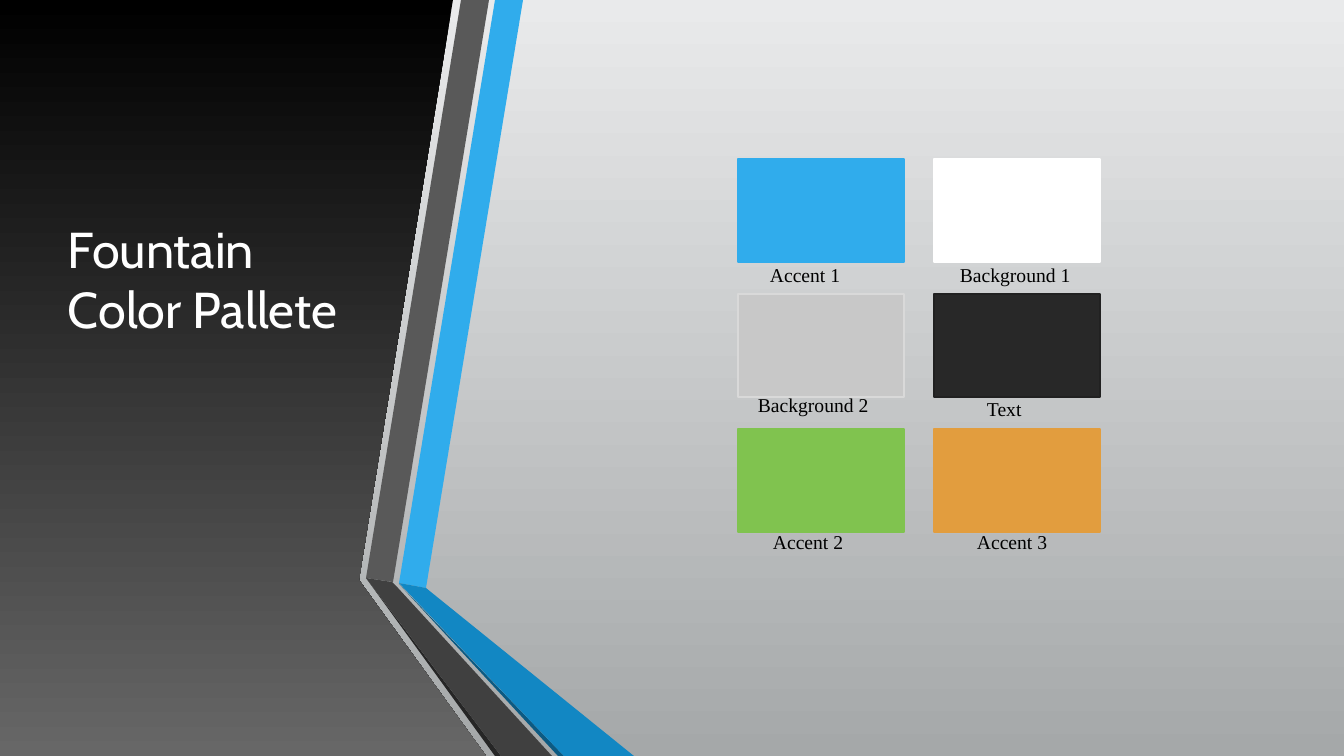
from pptx import Presentation
from pptx import util as u
from pptx.dml.color import RGBColor
from pptx.enum import shapes, text

PX = 914400 / 100.8  # EMU per px
WIDTH, HEIGHT = 1344, 756

# Content
TITLE = ["Fountain", "Color Pallete"]
BACKDROP = ("E9EAEB", "A5A8A9")  # top, bottom
PANEL = ("000000", "676767")
PANEL_POINTS = [(356, 0), (453, 0), (359, 580), (486, 756), (0, 756), (0, 0)]
RIBBONS = [
    ("30ACEC", [(399, 583), (426, 588), (523, 0), (495, 0)]),
    ("595959", [(489, 0), (461, 0), (366, 578), (393, 582)]),
    ("262626", [(366, 578), (495, 756), (501, 756)]),
    ("0C5A82", [(399, 584), (558, 756), (564, 756)]),
    ("1287C3", [(399, 583), (564, 756), (634, 756), (426, 588)]),
    ("404040", [(552, 756), (398, 588), (392, 582), (366, 578), (501, 756)]),
]
# Row by row: name, fill, line, label left, label top, label width
SWATCHES = [
    ("Accent 1", "30ACEC", "30ACEC", 760, 258, 121),
    ("Background 1", "FFFFFF", "FFFFFF", 950, 258, 177),
    ("Background 2", "C8C8C8", "D9D9D9", 748, 388, 177),
    ("Text", "282828", "212121", 977, 392, 121),
    ("Accent 2", "80C34F", "80C34F", 763, 525, 121),
    ("Accent 3", "E29D3E", "E29D3E", 967, 525, 121),
]
GRID_LEFT, GRID_TOP = 738, 159
COLUMN_STEP, ROW_STEP = 196, 135
SWATCH_WIDTH, SWATCH_HEIGHT = 166, 103


def px(value):
    return u.Emu(round(value * PX))


def color(value):
    return RGBColor.from_string(value)


def paint(fill, value):
    """Fill with one colour, or with a (top, bottom) gradient."""
    if isinstance(value, str):
        fill.solid()
        fill.fore_color.rgb = color(value)
        return
    fill.gradient()
    fill.gradient_angle = 270
    for stop, shade, position in zip(fill.gradient_stops, value, (0, 1)):
        stop.color.rgb = color(shade)
        stop.position = position


def finish(shape, fill, line=None):
    shape.shadow.inherit = False
    paint(shape.fill, fill)
    if line:
        shape.line.color.rgb = color(line)
        shape.line.width = u.Pt(1.25)
    else:
        shape.line.fill.background()


def add_rectangle(left, top, width, height, fill, line=None):
    shape = page.shapes.add_shape(
        shapes.MSO_SHAPE.RECTANGLE, px(left), px(top), px(width), px(height))
    finish(shape, fill, line)


def add_outline(parent, points, fill):
    builder = parent.build_freeform(*points[0], scale=PX)
    builder.add_line_segments(points[1:], close=True)
    finish(builder.convert_to_shape(), fill)


def add_text(lines, left, top, width, height, font, size, shade):
    box = page.shapes.add_textbox(px(left), px(top), px(width), px(height))
    frame = box.text_frame
    frame.word_wrap = True
    frame.auto_size = text.MSO_AUTO_SIZE.SHAPE_TO_FIT_TEXT
    for index, line in enumerate(lines):
        para = frame.add_paragraph() if index else frame.paragraphs[0]
        span = para.add_run()
        span.text = line
        span.font.name = font
        span.font.size = u.Pt(size)
        span.font.color.rgb = color(shade)


deck = Presentation()
deck.slide_width, deck.slide_height = px(WIDTH), px(HEIGHT)
page = deck.slides.add_slide(deck.slide_layouts[6])

# Backdrop and dark panel
paint(page.background.fill, BACKDROP)
add_rectangle(0, 0, WIDTH, HEIGHT, BACKDROP)
add_outline(page.shapes, PANEL_POINTS, PANEL)

# Folded ribbons
ribbons = page.shapes.add_group_shape()
for fill, points in RIBBONS:
    add_outline(ribbons.shapes, points, fill)

# Swatch grid
for index, (name, fill, line, *label) in enumerate(SWATCHES):
    row, column = divmod(index, 2)
    add_rectangle(GRID_LEFT + column * COLUMN_STEP, GRID_TOP + row * ROW_STEP,
                  SWATCH_WIDTH, SWATCH_HEIGHT, fill, line)

# Title and swatch labels
add_text(TITLE, 58, 213, 615, 132, "Cabin", 36, "FFFFFF")
for name, fill, line, left, top, width in SWATCHES:
    add_text([name], left, top, width, 34, "Times New Roman", 14, "000000")

deck.save("out.pptx")
